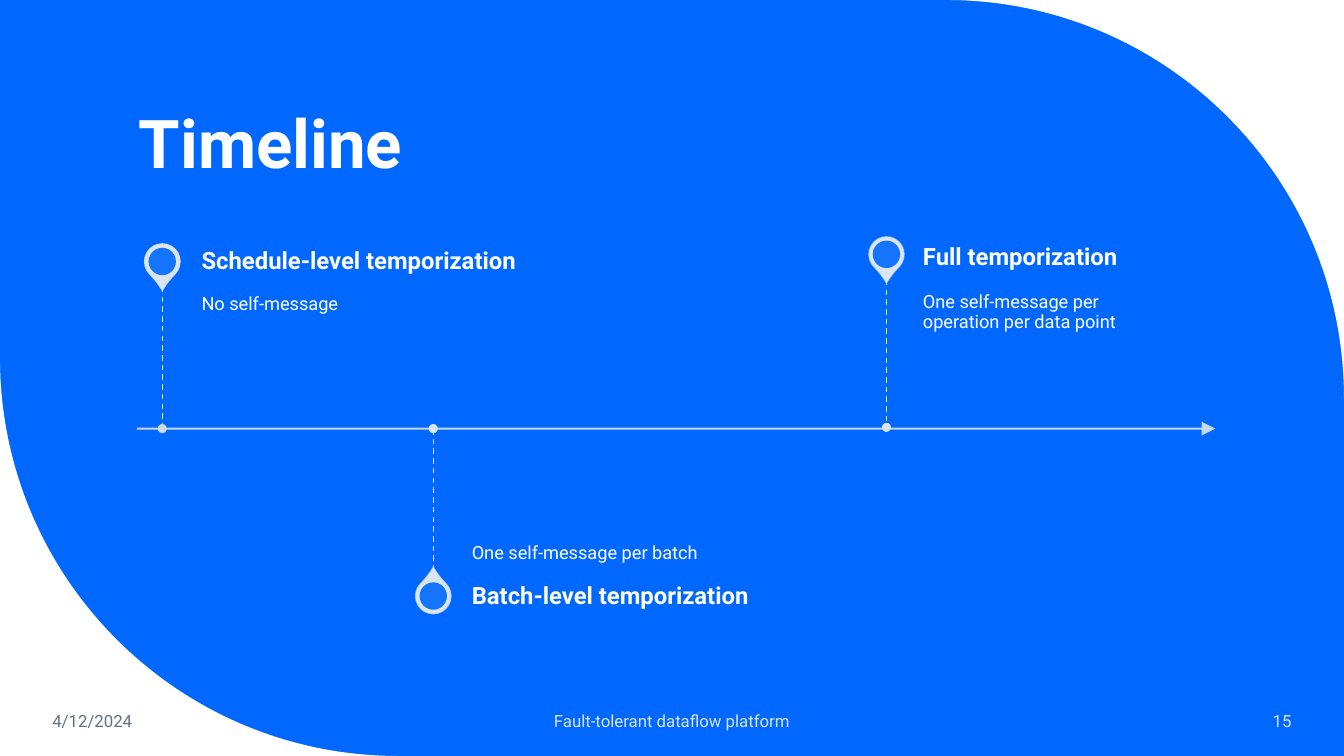
import math

import pptx
import pptx.util
import pptx.dml.color
import pptx.enum.dml
import pptx.enum.shapes
import pptx.enum.text
import pptx.oxml
import pptx.oxml.ns

Cm = pptx.util.Cm
Pt = pptx.util.Pt
SHAPE = pptx.enum.shapes.MSO_SHAPE
ANCHOR = pptx.enum.text.MSO_ANCHOR
ALIGN = pptx.enum.text.PP_ALIGN

COLORS = {
    "blue": "0068FF",
    "white": "FFFFFF",
    "pale": "DAE5EF",
    "mist": "D0DBE4",
    "slate": "637183",
}
WIDTH, HEIGHT = 33.87, 19.05


class TimelineSlide:
    """Holds the style and the current slide; lengths are in centimetres."""

    font = "Roboto"

    def __init__(self, presentation):
        self.slide = presentation.slides.add_slide(presentation.slide_layouts[6])
        self.shapes = self.slide.shapes
        self.paint(self.slide.background.fill, "blue")

    def color(self, name):
        return pptx.dml.color.RGBColor.from_string(COLORS[name])

    def paint(self, fill, color, opacity=100):
        fill.solid()
        fill.fore_color.rgb = self.color(color)
        if opacity < 100:
            rgb = fill._xPr.find(".//" + pptx.oxml.ns.qn("a:srgbClr"))
            self.child(rgb, "a:alpha", val=str(opacity * 1000))

    def child(self, parent, tag, **attributes):
        element = pptx.oxml.parse_xml(f"<{tag} {pptx.oxml.ns.nsdecls('a')}/>")
        for name, value in attributes.items():
            element.set(name, value)
        parent.append(element)
        return element

    def text(self, words, left, top, width, height, size, color="white", bold=False,
             anchor=ANCHOR.MIDDLE, align=ALIGN.LEFT, spacing=1.0,
             insets=(0.25, 0.13, 0.25, 0.13)):
        frame = self.shapes.add_textbox(Cm(left), Cm(top), Cm(width), Cm(height)).text_frame
        frame.word_wrap = True
        frame.vertical_anchor = anchor
        (frame.margin_left, frame.margin_top,
         frame.margin_right, frame.margin_bottom) = map(Cm, insets)
        paragraph = frame.paragraphs[0]
        paragraph.text = words
        paragraph.alignment = align
        paragraph.line_spacing = spacing
        paragraph.font.name = self.font
        paragraph.font.size = Pt(size)
        paragraph.font.bold = bold
        paragraph.font.color.rgb = self.color(color)

    def mark(self, kind, x, y, size, color, opacity=100):
        """A preset shape centred on x, y, without outline."""
        shape = self.shapes.add_shape(
            kind, Cm(x - size / 2), Cm(y - size / 2), Cm(size), Cm(size))
        shape.shadow.inherit = False
        self.paint(shape.fill, color, opacity)
        shape.line.fill.background()
        return shape

    def line(self, start, end, width, opacity=100, dashed=False, arrow=False):
        connector = self.shapes.add_connector(
            pptx.enum.shapes.MSO_CONNECTOR.STRAIGHT, *map(Cm, start + end))
        connector.line.width = Pt(width)
        self.paint(connector.line.fill, "pale", opacity)
        if dashed:
            connector.line.dash_style = pptx.enum.dml.MSO_LINE.DASH
        if arrow:
            self.child(connector.line._get_or_add_ln(), "a:tailEnd",
                       type="triangle", w="lg", len="lg")
        self.child(connector._element.spPr, "a:effectLst")

    def corner(self, corner_x, corner_y, center_x, center_y):
        """The white area between a slide corner and a quarter circle."""
        reach_x, reach_y = corner_x - center_x, corner_y - center_y
        bend = 4 / 3 * (math.sqrt(2) - 1)
        outline = [(Cm(center_x + reach_x * across), Cm(center_y + reach_y * down))
                   for across, down in ((0, 1), (bend, 1), (1, bend), (1, 0))]
        builder = self.shapes.build_freeform(Cm(corner_x), Cm(corner_y))
        builder.add_line_segments(outline, close=True)
        shape = builder.convert_to_shape()
        # Turn the last three segments into one Bézier curve
        segments = shape._element.findall(".//" + pptx.oxml.ns.qn("a:lnTo"))[1:]
        outline_xml = segments[0].getparent()
        curve = self.child(outline_xml, "a:cubicBezTo")
        segments[0].addprevious(curve)
        for segment in segments:
            curve.append(segment[0])
            outline_xml.remove(segment)
        shape.shadow.inherit = False
        self.paint(shape.fill, "white")
        shape.line.fill.background()

    def milestone(self, heading, detail, x, axis_y, pin_y, heading_y, text_x, text_width,
                  outline_opacity, dot_color="pale"):
        above = pin_y < axis_y
        # Pin
        pin = self.mark(SHAPE.TEAR, x, pin_y, 0.89, "pale")
        pin.adjustments[0] = 1.15
        pin.rotation = 135 if above else 315
        pin.line.width = Pt(1)
        self.paint(pin.line.fill, "pale", outline_opacity)
        self.mark(SHAPE.OVAL, x, pin_y, 0.69, "blue", 90)
        # Heading, with the detail on the side nearer the axis
        heading_height, detail_height, gap = 1.27, 3.58, 0.02
        heading_top = heading_y - heading_height / 2
        if above:
            detail_top = heading_top + heading_height + gap
            anchor, insets = ANCHOR.TOP, (0, 0.23, 0.23, 0.36)
        else:
            detail_top = heading_top - detail_height - gap
            anchor, insets = ANCHOR.BOTTOM, (0, 0.36, 0, 0.23)
        self.text(detail, text_x, detail_top, text_width, detail_height, 13,
                  anchor=anchor, spacing=0.9, insets=insets)
        self.text(heading, text_x, heading_top, text_width, heading_height, 17,
                  bold=True, spacing=0.9, insets=(0, 0, 0.3, 0))
        # Stem and dot on the axis
        stem_y = pin_y + (0.64 if above else -0.64)
        self.line((x, stem_y), (x, axis_y), 1, dashed=True)
        self.mark(SHAPE.OVAL, x, axis_y, 0.23, dot_color)


def main():
    presentation = pptx.Presentation()
    presentation.slide_width = Cm(WIDTH)
    presentation.slide_height = Cm(HEIGHT)
    timeline = TimelineSlide(presentation)

    # Rounded background corners
    radius = 10.03
    timeline.corner(WIDTH, 0, WIDTH - radius, radius)
    timeline.corner(0, HEIGHT, radius, HEIGHT - radius)

    # Title
    timeline.text("Timeline", 3.25, 1.07, 27.15, 3.68, 48, bold=True,
                  anchor=ANCHOR.BOTTOM, spacing=0.9)

    # Axis and milestones
    axis_y = 10.8
    timeline.line((3.45, axis_y), (30.63, axis_y), 1.5, opacity=90, arrow=True)
    timeline.milestone("Schedule-level temporization", "No self-message",
                       4.09, axis_y, 6.59, 6.59, 5.08, 8.31, 90, "mist")
    timeline.milestone("Batch-level temporization", "One self-message per batch",
                       10.92, axis_y, 15.02, 15.04, 11.89, 9.86, 70)
    timeline.milestone("Full temporization",
                       "One self-message per operation per data point",
                       22.34, 10.77, 6.41, 6.5, 23.26, 6.35, 50)

    # Footer
    footer_top, footer_height = 17.65, 1.02
    for words, left, width, color, align in (
            ("4/12/2024", 1.07, 4.72, "slate", ALIGN.LEFT),
            ("Fault-tolerant dataflow platform", 11.22, 11.43, "pale", ALIGN.CENTER),
            ("15", 28.2, 4.6, "pale", ALIGN.RIGHT)):
        timeline.text(words, left, footer_top, width, footer_height, 12, color, align=align)

    presentation.save("out.pptx")


if __name__ == "__main__":
    main()
